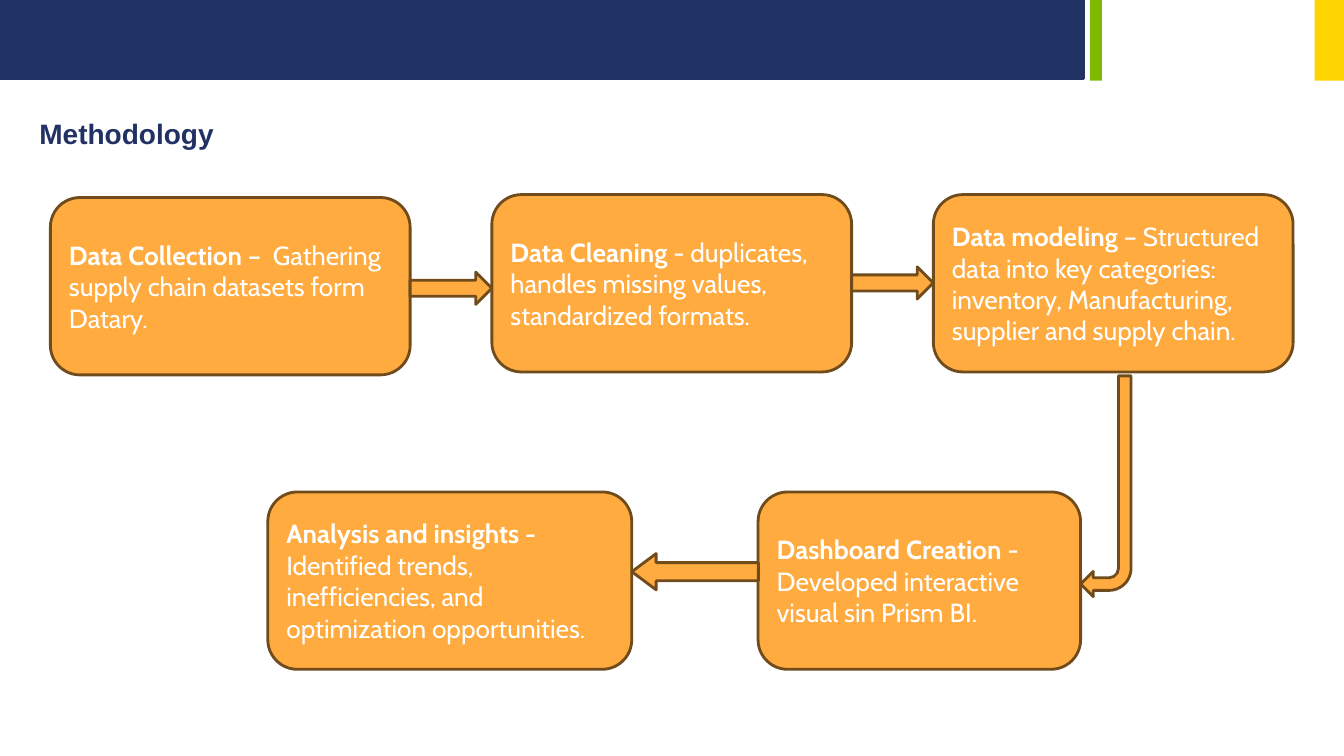
from pptx import Presentation
from pptx.util import Pt
from pptx.dml.color import RGBColor
from pptx.enum import shapes as sh, text as tx

KIND = sh.MSO_SHAPE
HUES = {"navy": "213264", "title": "213163", "green": "7FBA00",
        "gold": "FED500", "orange": "FFAB40", "brown": "704B1C",
        "white": "FFFFFF"}
WIDE, HIGH = 960, 540


def hue(name):
    return RGBColor.from_string(HUES[name])


def draw(slide, kind, box, fill, line=None):
    part = slide.shapes.add_shape(kind, *map(Pt, box))
    part.shadow.inherit = False
    part.fill.solid()
    part.fill.fore_color.rgb = hue(fill)
    if line:
        part.line.color.rgb = hue(line)
        part.line.width = Pt(2)
    else:
        part.line.fill.background()
    return part


def write(para, words, font, size, color, bold):
    run = para.add_run()
    run.text = words
    run.font.name = font
    run.font.size = Pt(size)
    run.font.bold = bold
    run.font.color.rgb = hue(color)


def banner(slide, box):
    x, y, w, h = box
    draw(slide, KIND.RECTANGLE, (x, y, 774, h - 1.4), "navy", "navy")
    draw(slide, KIND.RECTANGLE, (x + 778.5, y, 8.6, h), "green")
    draw(slide, KIND.RECTANGLE, (x + w - 21, y, 21, h), "gold")


def title(slide, box, words):
    frame = slide.shapes.add_textbox(*map(Pt, box)).text_frame
    frame.word_wrap = True
    write(frame.paragraphs[0], words, "Arial", 20, "title", True)


def card(slide, box, head, body):
    part = draw(slide, KIND.ROUNDED_RECTANGLE, box, "orange", "brown")
    frame = part.text_frame
    frame.word_wrap = True
    frame.vertical_anchor = tx.MSO_ANCHOR.MIDDLE
    para = frame.paragraphs[0]
    para.alignment = tx.PP_ALIGN.LEFT
    write(para, head, "Cabin", 18.7, "white", True)
    write(para, body, "Cabin", 18.7, "white", False)


def arrow(slide, box, kind=KIND.RIGHT_ARROW, turn=0):
    part = draw(slide, kind, box, "orange", "brown")
    part.rotation = turn
    return part


def flow(slide, box):
    x, y, w, h = box
    wide, tall = 257, 126.7
    step = (w - wide) / 2
    low = y + h - tall

    # Cards: left, top, width, heading, text
    cards = [
        (x, y + 2.1, wide, "Data Collection –  ",
         "Gathering supply chain datasets form Datary."),
        (x + step, y, wide, "Data Cleaning ",
         "- duplicates, handles missing values, standardized formats."),
        (x + 2 * step, y, wide, "Data modeling ",
         "– Structured data into key categories: inventory, "
         "Manufacturing, supplier and supply chain."),
        (x + 505.5, low, 230.4, "Dashboard Creation ",
         "-  Developed interactive visual sin Prism BI."),
        (x + 155.3, low, 260, "Analysis and insights -  ",
         "Identified trends, inefficiencies, and "
         "optimization opportunities."),
    ]
    for left, top, width, head, body in cards:
        card(slide, (left, top, width, tall), head, body)

    # Arrows along the top row
    for col, drop in enumerate((55.4, 51.6)):
        left = x + col * step + wide
        arrow(slide, (left, y + drop, step - wide, 23))

    # Arrow down to the lower row, then arrow to the left
    arrow(slide, (x + 735.9, y + tall + 2.8, 36, 157.7), KIND.BENT_ARROW, 180)
    back = arrow(slide, (x + 415.3, low + 44, 90.4, 25.9), turn=180)
    back.adjustments[1] = 0.67


def main():
    deck = Presentation()
    deck.slide_width, deck.slide_height = Pt(WIDE), Pt(HIGH)
    slide = deck.slides.add_slide(deck.slide_layouts[6])
    banner(slide, (0, 0, WIDE, 57.6))
    title(slide, (21, 80, 480, 31.5), "Methodology")
    flow(slide, (36, 139, 887.7, 339.1))
    deck.save("out.pptx")


if __name__ == "__main__":
    main()
